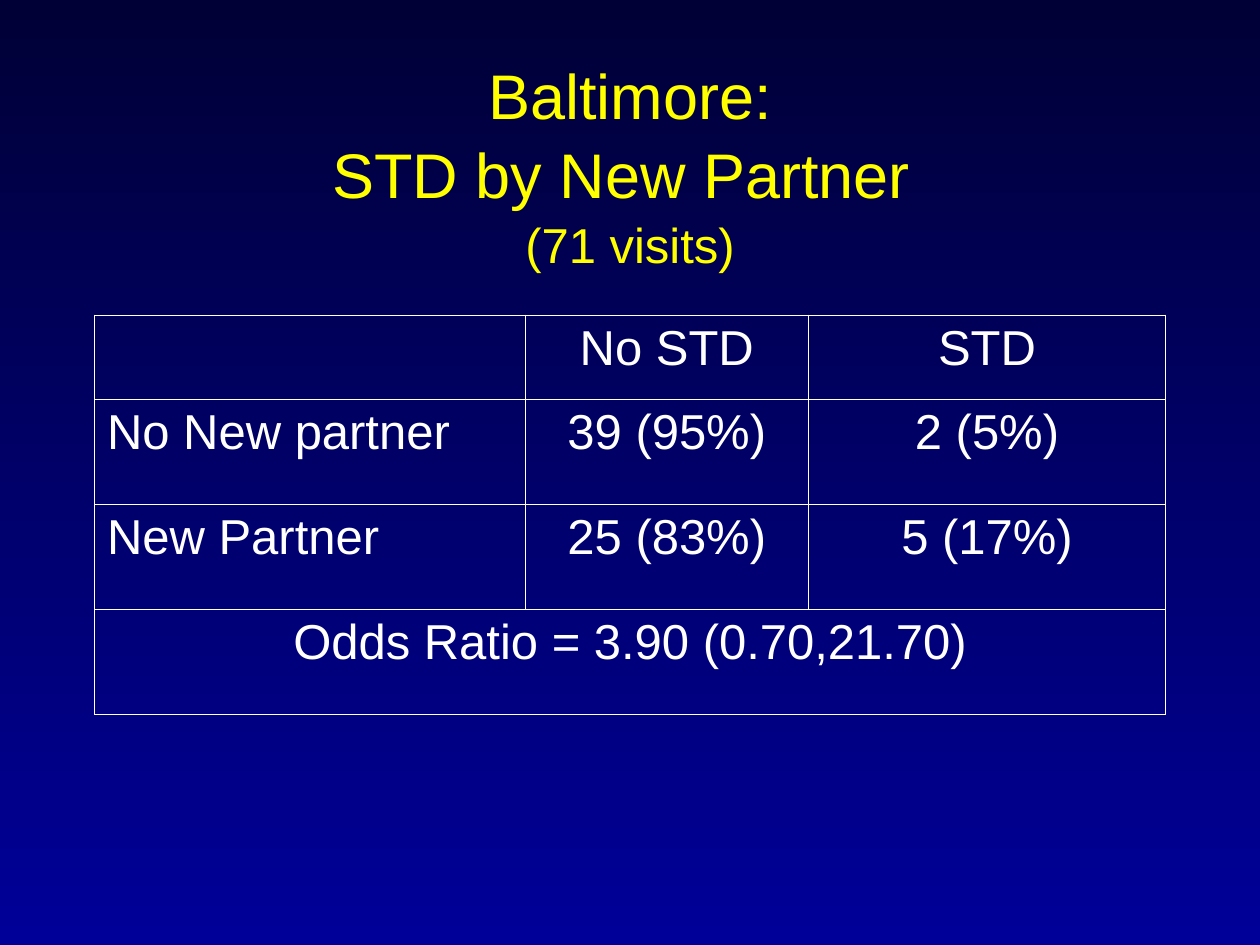
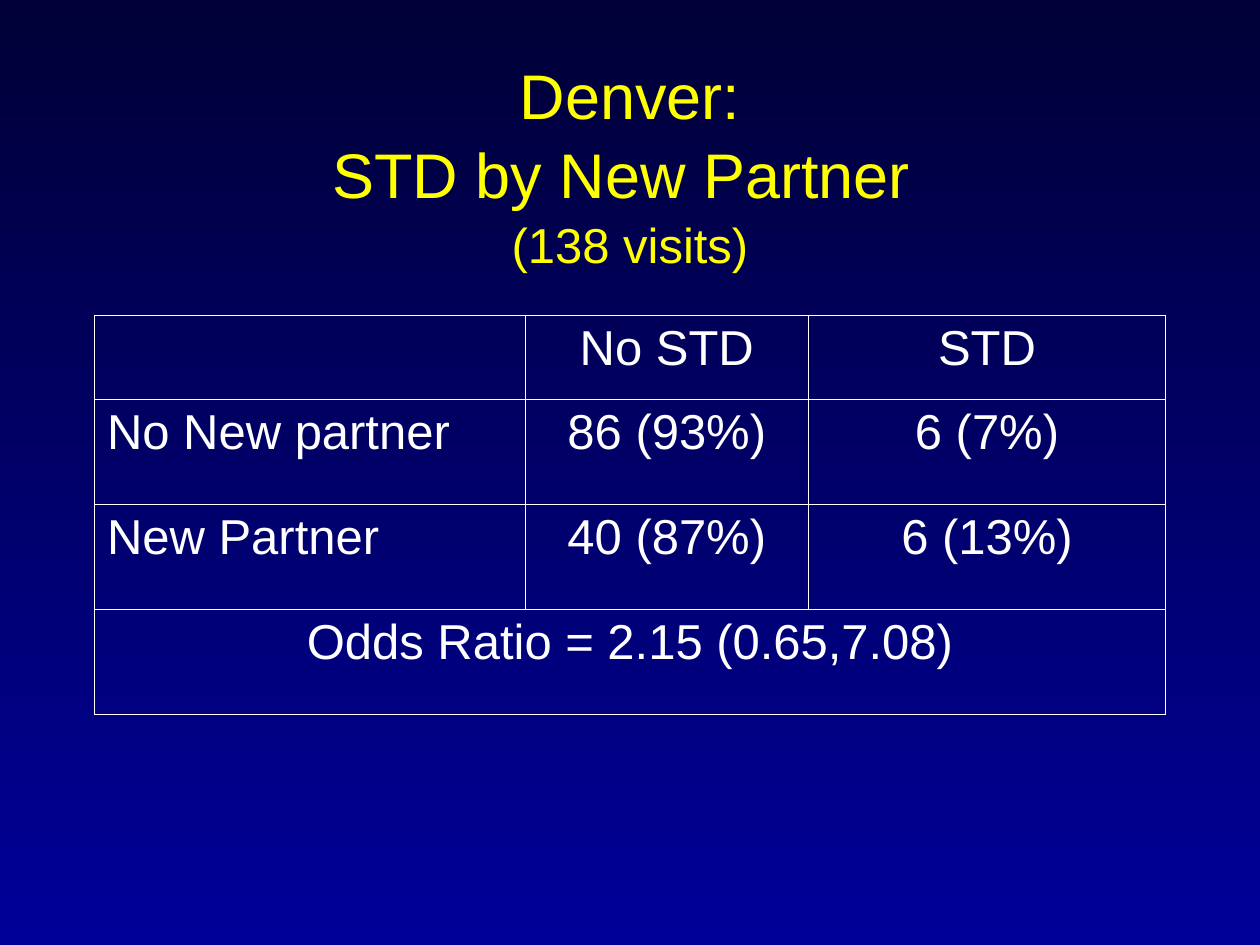
from copy import deepcopy

from lxml.etree import SubElement
from pptx import Presentation
from pptx.dml.color import RGBColor as Rgb
from pptx.enum.text import MSO_ANCHOR as Anchor, PP_ALIGN as Align
from pptx.oxml.ns import qn
from pptx.util import Pt

COLORS = {"top": "000037", "bottom": "000099", "title": "FFFF00", "text": "FFFFFF"}
FONT = "Arial"
LEFT, WIDTH = 54, 612
TITLE_TOP, TITLE_HEIGHT = 48, 90
TABLE_TOP = 180
COLUMNS = (246, 162, 204)
ROWS = (48, 60, 60, 60)
BORDER = 0.45

CITIES = [
    ("Baltimore:", "(71 visits)", ("39 (95%)", "2 (5%)"), ("25 (83%)", "5 (17%)"),
     "Odds Ratio = 3.90 (0.70,21.70)"),
    ("Denver:", "(138 visits)", ("86 (93%)", "6 (7%)"), ("40 (87%)", "6 (13%)"),
     "Odds Ratio = 2.15 (0.65,7.08)"),
]


class Slides:
    def __init__(self):
        self.deck = Presentation()
        self.deck.slide_width, self.deck.slide_height = Pt(720), Pt(540)
        self.page = None
        self.background()

    def background(self):
        fill = self.deck.slide_master.background.fill
        fill.gradient()
        fill.gradient_angle = 270
        for stop, position, name in zip(fill.gradient_stops, (0, 1), ("top", "bottom")):
            stop.position = position
            stop.color.rgb = Rgb.from_string(COLORS[name])

    def add_page(self):
        self.page = self.deck.slides.add_slide(self.deck.slide_layouts[5])

    def span(self, para, text, size, color):
        span = para.add_run()
        span.text = text
        for name, value in {"name": FONT, "size": Pt(size), "bold": False}.items():
            setattr(span.font, name, value)
        span.font.color.rgb = Rgb.from_string(COLORS[color])
        return span

    def title(self, lines):
        box = self.page.shapes.title
        place = {"left": LEFT, "top": TITLE_TOP, "width": WIDTH, "height": TITLE_HEIGHT}
        for name, value in place.items():
            setattr(box, name, Pt(value))
        frame = box.text_frame
        frame.word_wrap = True
        frame.vertical_anchor = Anchor.MIDDLE
        para = frame.paragraphs[0]
        para.alignment = Align.CENTER
        para.line_spacing = 1.05
        for index, (text, size) in enumerate(lines):
            span = self.span(para, text, size, "title")
            if index < len(lines) - 1:
                line_break = SubElement(para._p, qn("a:br"))
                line_break.append(deepcopy(span.font._rPr))

    def border(self, cell):
        properties = cell._tc.get_or_add_tcPr()
        for index, side in enumerate(("lnL", "lnR", "lnT", "lnB")):
            line = SubElement(properties, qn(f"a:{side}"), w=str(int(Pt(BORDER))))
            fill = SubElement(line, qn("a:solidFill"))
            SubElement(fill, qn("a:srgbClr"), val=COLORS["text"])
            properties.insert(index, line)

    def table(self, rows):
        box = self.page.shapes.add_table(len(ROWS), len(COLUMNS), Pt(LEFT), Pt(TABLE_TOP),
                                         Pt(WIDTH), Pt(sum(ROWS)))
        table = box.table
        table.first_row = table.horz_banding = False
        for column, width in zip(table.columns, COLUMNS):
            column.width = Pt(width)
        for row, height in zip(table.rows, ROWS):
            row.height = Pt(height)
        last = len(ROWS) - 1
        table.cell(last, 0).merge(table.cell(last, len(COLUMNS) - 1))
        for cell in table.iter_cells():
            cell.fill.background()
            self.border(cell)
        for row_index, texts in enumerate(rows):
            for column_index, text in enumerate(texts):
                if text:
                    para = table.cell(row_index, column_index).text_frame.paragraphs[0]
                    is_label = column_index == 0 and row_index < last
                    para.alignment = Align.LEFT if is_label else Align.CENTER
                    self.span(para, text, 28, "text")


def main():
    slides = Slides()
    for city, visits, no_new_partner, new_partner, odds_ratio in CITIES:
        slides.add_page()
        slides.title([(city, 36), ("STD by New Partner ", 36), (visits, 28)])
        slides.table([
            ("", "No STD", "STD"),
            ("No New partner", *no_new_partner),
            ("New Partner", *new_partner),
            (odds_ratio,),
        ])
    slides.deck.save("out.pptx")


if __name__ == "__main__":
    main()
